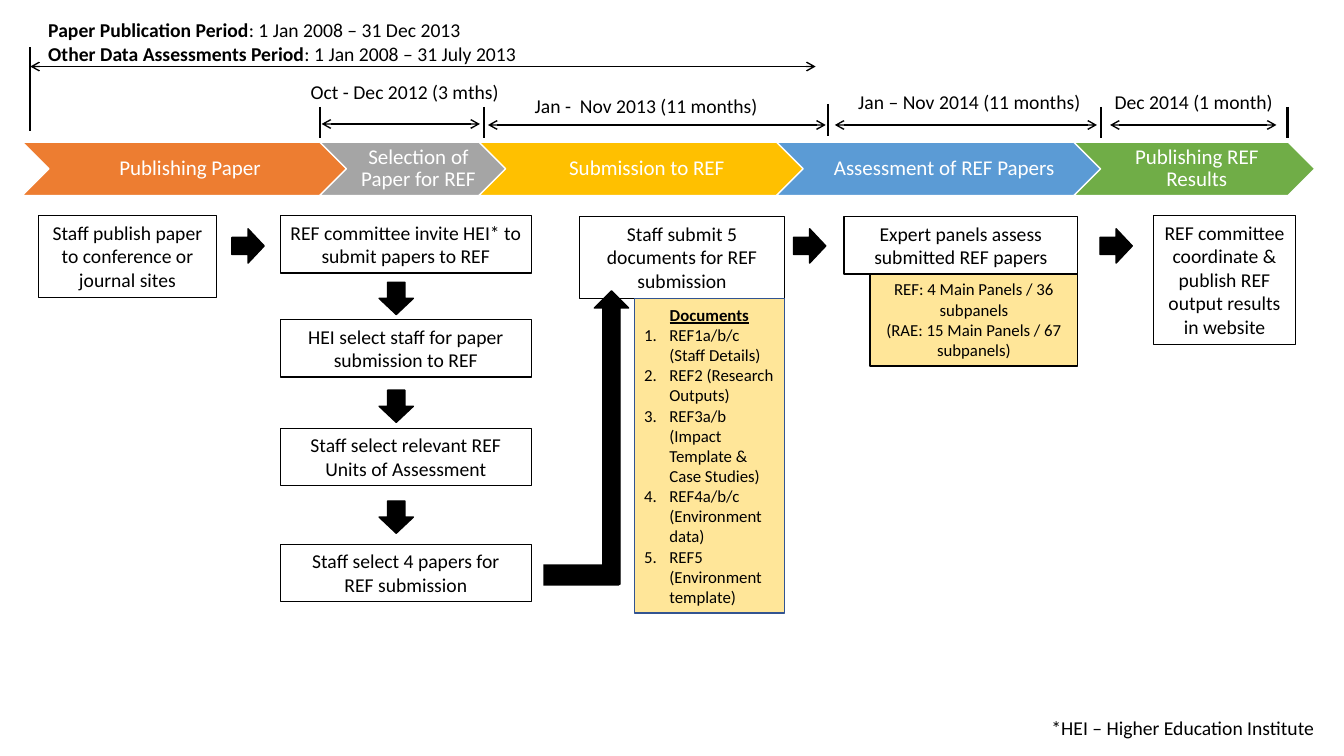
from lxml import etree
from pptx import Presentation
from pptx.dml.color import RGBColor
from pptx.enum.shapes import MSO_CONNECTOR, MSO_SHAPE
from pptx.enum.text import MSO_ANCHOR, PP_ALIGN
from pptx.oxml.ns import qn
from pptx.util import Inches, Pt

LEFT, MID = PP_ALIGN.LEFT, PP_ALIGN.CENTER
TOP, CENTER = MSO_ANCHOR.TOP, MSO_ANCHOR.MIDDLE
RECT, ARROW, CHEVRON = MSO_SHAPE.RECTANGLE, MSO_SHAPE.RIGHT_ARROW, MSO_SHAPE.CHEVRON
LINE = MSO_CONNECTOR.STRAIGHT
FONT = "Calibri"
COLORS = {"ink": "000000", "white": "FFFFFF", "note": "FFE699", "edge": "325491",
          "publish": "ED7D31", "select": "A5A5A5", "submit": "FFC000",
          "assess": "5B9BD5", "result": "70AD47"}


def color(name):
    """Look up a named colour."""
    return RGBColor.from_string(COLORS[name])


def write(frame, paras, size=14, ink="ink", align=MID, anchor=TOP, wrap=True,
          insets=(0.1, 0.05, 0.1, 0.05), space=None):
    """Fill a text frame; a paragraph is a string or a list of (text, bold)."""
    frame.word_wrap, frame.vertical_anchor = wrap, anchor
    (frame.margin_left, frame.margin_top,
     frame.margin_right, frame.margin_bottom) = map(Inches, insets)
    for i, runs in enumerate(paras):
        para = frame.paragraphs[0] if i == 0 else frame.add_paragraph()
        para.alignment = align
        if space:
            para.line_spacing = space
        for text, bold in [(runs, False)] if isinstance(runs, str) else runs:
            run = para.add_run()
            run.text = text
            font = run.font
            font.name, font.size, font.bold = FONT, Pt(size), bold
            font.color.rgb = color(ink)


def label(slide, box, *paras, **style):
    """Add a plain text box."""
    frame = slide.shapes.add_textbox(*map(Inches, box)).text_frame
    write(frame, paras, **style)


def block(slide, kind, box, fill, edge="ink", turn=0):
    """Add a filled shape with a thin outline."""
    shape = slide.shapes.add_shape(kind, *map(Inches, box))
    shape.shadow.inherit = False
    shape.fill.solid()
    shape.fill.fore_color.rgb = color(fill)
    if edge:
        shape.line.color.rgb = color(edge)
        shape.line.width = Pt(1)
    else:
        shape.line.fill.background()
    shape.rotation = turn
    return shape


def rule(slide, x1, y1, x2, y2, width=1.5, heads=False):
    """Draw a straight line, with open arrowheads at both ends if asked."""
    line = slide.shapes.add_connector(LINE, *map(Inches, (x1, y1, x2, y2)))
    line.line.color.rgb = color("ink")
    line.line.width = Pt(width)
    if heads:
        for end in ("a:headEnd", "a:tailEnd"):
            etree.SubElement(line.line._ln, qn(end), type="arrow")
    etree.SubElement(line._element.spPr, qn("a:effectLst"))


def periods(slide, left, top):
    """Draw the dated spans with their end ticks above the phases."""
    ticks = [(0, 0.34, 0.83), (2.87, 0.93, 0.31), (4.5, 0.93, 0.31),
             (7.91, 0.9, 0.32), (10.62, 0.93, 0.31), (12.47, 0.93, 0.31)]
    for x, y, tall in ticks:
        rule(slide, left + x, top + y, left + x, top + y + tall)
    spans = [(0, 7.79, 0.53), (2.89, 4.46, 1.1), (4.54, 7.89, 1.11),
             (7.98, 10.58, 1.11), (10.71, 12.36, 1.11)]
    for start, end, y in spans:
        rule(slide, left + start, top + y, left + end, top + y, 1, True)
    dates = [(2.65, 0.61, 2.13, "Oct - Dec 2012 (3 mths)"),
             (4.28, 0.75, 3.66, "Jan -  Nov 2013 (11 months)"),
             (8.08, 0.71, 2.47, "Jan – Nov 2014 (11 months)"),
             (10.61, 0.71, 1.86, "Dec 2014 (1 month)")]
    for x, y, wide, text in dates:
        label(slide, (left + x, top + y, wide, 0.34), text)
    label(slide, (left + 0.08, top, 5.78, 0.57),
          [("Paper Publication Period", True), (": 1 Jan 2008 – 31 Dec 2013", False)],
          [("Other Data Assessments Period", True), (": 1 Jan 2008 – 31 July 2013", False)],
          align=LEFT)


def phases(slide, left, top, tall=0.53, lap=0.33):
    """Lay the five overlapping phase chevrons in a row."""
    for wide, fill, text in [(3.28, "publish", "Publishing Paper"),
                             (1.91, "select", "Selection of Paper for REF"),
                             (3.28, "submit", "Submission to REF"),
                             (3.28, "assess", "Assessment of REF Papers"),
                             (2.39, "result", "Publishing REF Results")]:
        shape = block(slide, CHEVRON, (left, top, wide, tall), fill, "white")
        write(shape.text_frame, [text], size=15, ink="white", anchor=CENTER,
              insets=(0.07, 0.02, 0.02, 0.02), space=0.9)
        left += wide - lap


def step(slide, box, *paras, fill="white", **style):
    """Add a box of text for one step and return its text frame."""
    frame = block(slide, RECT, box, fill).text_frame
    write(frame, paras, **style)
    return frame


def choose(slide, left, top, wide=2.49, tall=0.57):
    """Stack the paper selection steps, joined by down arrows."""
    steps = [(0, ["REF committee invite HEI* to submit papers to REF"]),
             (1.03, ["HEI select staff for paper submission to REF"]),
             (2.11, ["Staff select relevant REF Units of Assessment"]),
             (3.26, ["Staff select 4 papers for", "REF submission"])]
    for y, paras in steps:
        step(slide, (left, top + y, wide, tall), *paras)
    for y in (0.65, 1.72, 2.82):
        block(slide, ARROW, (left + 0.99, top + y, 0.32, 0.34), "ink", turn=90)


def submit(slide, left, top):
    """Build the submission step, its bent arrow and its documents list."""
    step(slide, (left, top, 2.03, 0.81), "Staff submit 5 documents for REF submission")
    block(slide, ARROW, (left - 1.14, top + 2.02, 2.91, 0.34), "ink", turn=270)
    block(slide, RECT, (left - 0.36, top + 3.45, 0.75, 0.21), "ink", None)
    shape = block(slide, RECT, (left + 0.54, top + 0.81, 1.49, 3.12), "note", "edge")
    frame = shape.text_frame
    write(frame, [[("Documents", True)], "REF1a/b/c (Staff Details)",
                  "REF2 (Research Outputs)",
                  "REF3a/b (Impact Template & Case Studies)",
                  "REF4a/b/c (Environment data)", "REF5 (Environment template)"],
          size=12, align=LEFT, anchor=CENTER)
    head, *items = frame.paragraphs
    head.alignment = MID
    head.runs[0].font.underline = True
    for item in items:
        props = item._p.get_or_add_pPr()
        props.set("marL", str(Inches(0.25)))
        props.set("indent", str(-Inches(0.25)))
        etree.SubElement(props, qn("a:buFont"), typeface="+mj-lt")
        etree.SubElement(props, qn("a:buAutoNum"), type="arabicPeriod")


def assess(slide, left, top):
    """Build the panel step with its note below."""
    step(slide, (left, top, 2.32, 0.57), "Expert panels assess submitted REF papers")
    step(slide, (left + 0.26, top + 0.57, 2.06, 0.91),
         "REF: 4 Main Panels / 36 subpanels", "(RAE: 15 Main Panels / 67 subpanels)",
         fill="note", size=12)


def build():
    """Build the timeline slide and save it."""
    deck = Presentation()
    deck.slide_width, deck.slide_height = Inches(13.33), Inches(7.5)
    slide = deck.slides.add_slide(deck.slide_layouts[6])
    periods(slide, 0.3, 0.13)
    phases(slide, 0.22, 1.41)
    step(slide, (0.38, 2.14, 1.77, 0.81),
         "Staff publish paper to conference or journal sites")
    choose(slide, 2.78, 2.14)
    submit(slide, 5.75, 2.15)
    assess(slide, 8.37, 2.15)
    step(slide, (11.44, 2.14, 1.41, 1.28),
         "REF committee coordinate & publish REF output results in website")
    for x in (2.3, 7.87, 10.91):
        block(slide, ARROW, (x, 2.27, 0.32, 0.34), "ink")
    label(slide, (10.33, 7.05, 2.84, 0.34), "*HEI – Higher Education Institute",
          align=LEFT, wrap=False)
    deck.save("out.pptx")


build()
